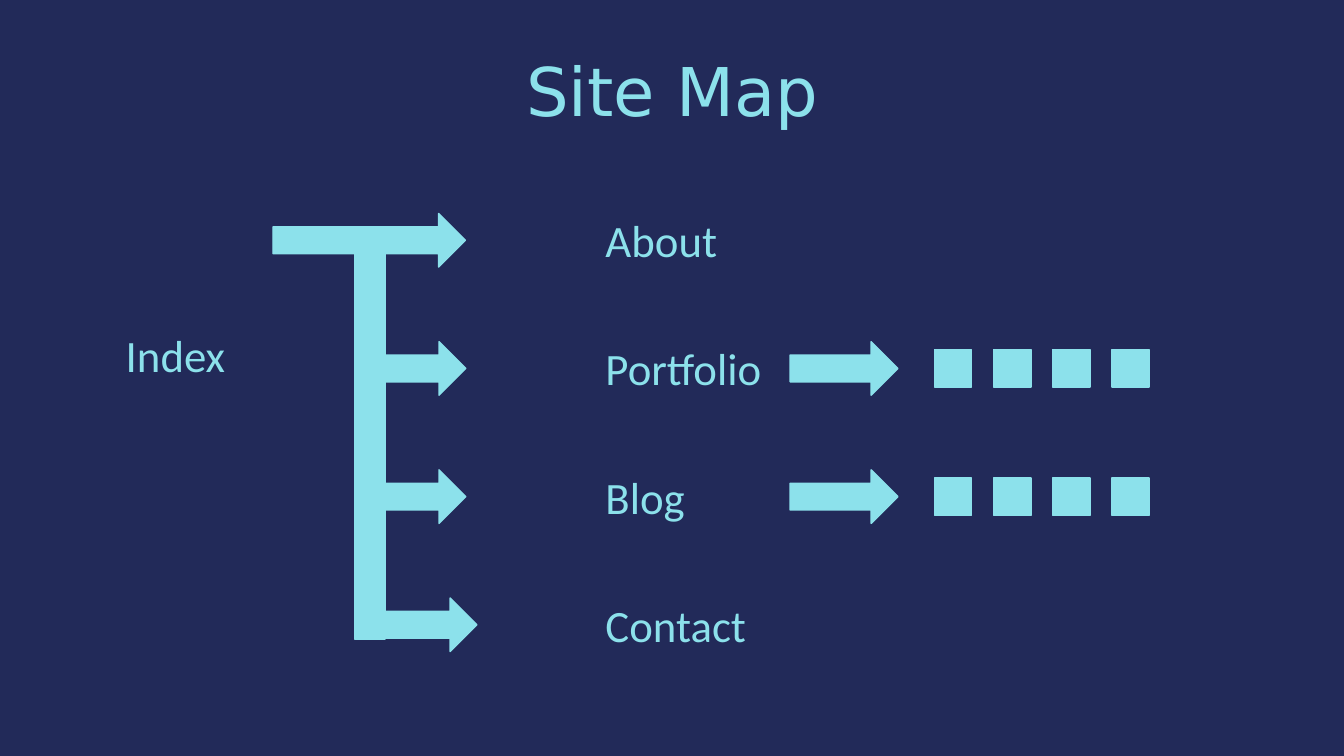
from pptx import Presentation
from pptx.dml.color import RGBColor
from pptx.enum.shapes import MSO_SHAPE
from pptx.enum.text import MSO_ANCHOR, MSO_AUTO_SIZE, PP_ALIGN
from pptx.util import Cm, Pt

NAVY, AQUA = "222A59", "8CE1EB"
ROW_TOP, ROW_PITCH = 5.38, 3.23
ARROW_H = 1.35
SQUARE, SQUARE_PITCH = 0.94, 1.49


def color(value):
    return RGBColor.from_string(value)


class SiteMapSlide:
    """Holds the slide and the style shared by its elements."""

    title_font, body_font = "DejaVu Sans", "Calibri"

    def __init__(self, prs):
        self.s = prs.slides.add_slide(prs.slide_layouts[5])
        fill = self.s.background.fill
        fill.solid()
        fill.fore_color.rgb = color(NAVY)

    def run(self, p, text, font, size):
        r = p.add_run()
        r.text = text
        r.font.name = font
        r.font.size = Pt(size)
        r.font.color.rgb = color(AQUA)

    def title(self, text, x, y, w, h):
        sp = self.s.shapes.title
        sp.left, sp.top, sp.width, sp.height = Cm(x), Cm(y), Cm(w), Cm(h)
        tf = sp.text_frame
        tf.vertical_anchor = MSO_ANCHOR.MIDDLE
        p = tf.paragraphs[0]
        p.alignment = PP_ALIGN.CENTER
        p.line_spacing = 0.9
        self.run(p, text, self.title_font, 48)

    def label(self, text, x, y, w):
        sp = self.s.shapes.add_textbox(Cm(x), Cm(y), Cm(w), Cm(1.63))
        tf = sp.text_frame
        tf.word_wrap = True
        tf.auto_size = MSO_AUTO_SIZE.SHAPE_TO_FIT_TEXT
        self.run(tf.paragraphs[0], text, self.body_font, 32)

    def shape(self, kind, x, y, w, h):
        sp = self.s.shapes.add_shape(kind, Cm(x), Cm(y), Cm(w), Cm(h))
        sp.shadow.inherit = False
        sp.fill.solid()
        sp.fill.fore_color.rgb = color(AQUA)
        sp.line.color.rgb = color(AQUA)
        sp.line.width = Pt(1)

    def arrow(self, x, y, w=2.72):
        self.shape(MSO_SHAPE.RIGHT_ARROW, x, y, w, ARROW_H)

    def squares(self, x, y, count=4):
        for i in range(count):
            self.shape(MSO_SHAPE.RECTANGLE, x + i * SQUARE_PITCH, y, SQUARE, SQUARE)


def main():
    prs = Presentation()
    prs.slide_width, prs.slide_height = Cm(33.87), Cm(19.05)
    page = SiteMapSlide(prs)
    page.title("Site Map", 2.34, 0.56, 29.21, 3.68)

    # Root and trunk
    page.label("Index", 2.92, 8.13, 3.76)
    page.shape(MSO_SHAPE.RECTANGLE, 8.94, 5.94, 0.76, 10.16)

    # Branches: name, label width, arrow left, arrow width, has subpages
    branches = [
        ("About", 7.62, 6.88, 4.85, False),
        ("Portfolio", 4.57, 9.02, 2.72, True),
        ("Blog", 7.62, 9.02, 2.72, True),
        ("Contact", 4.06, 9.3, 2.72, False),
    ]
    for row, (name, label_w, arrow_x, arrow_w, has_subpages) in enumerate(branches):
        y = ROW_TOP + row * ROW_PITCH
        page.arrow(arrow_x, y, arrow_w)
        page.label(name, 15.01, y - 0.14, label_w)
        if has_subpages:
            page.arrow(19.91, y)
            page.squares(23.55, y + (ARROW_H - SQUARE) / 2)

    prs.save("out.pptx")


if __name__ == "__main__":
    main()
